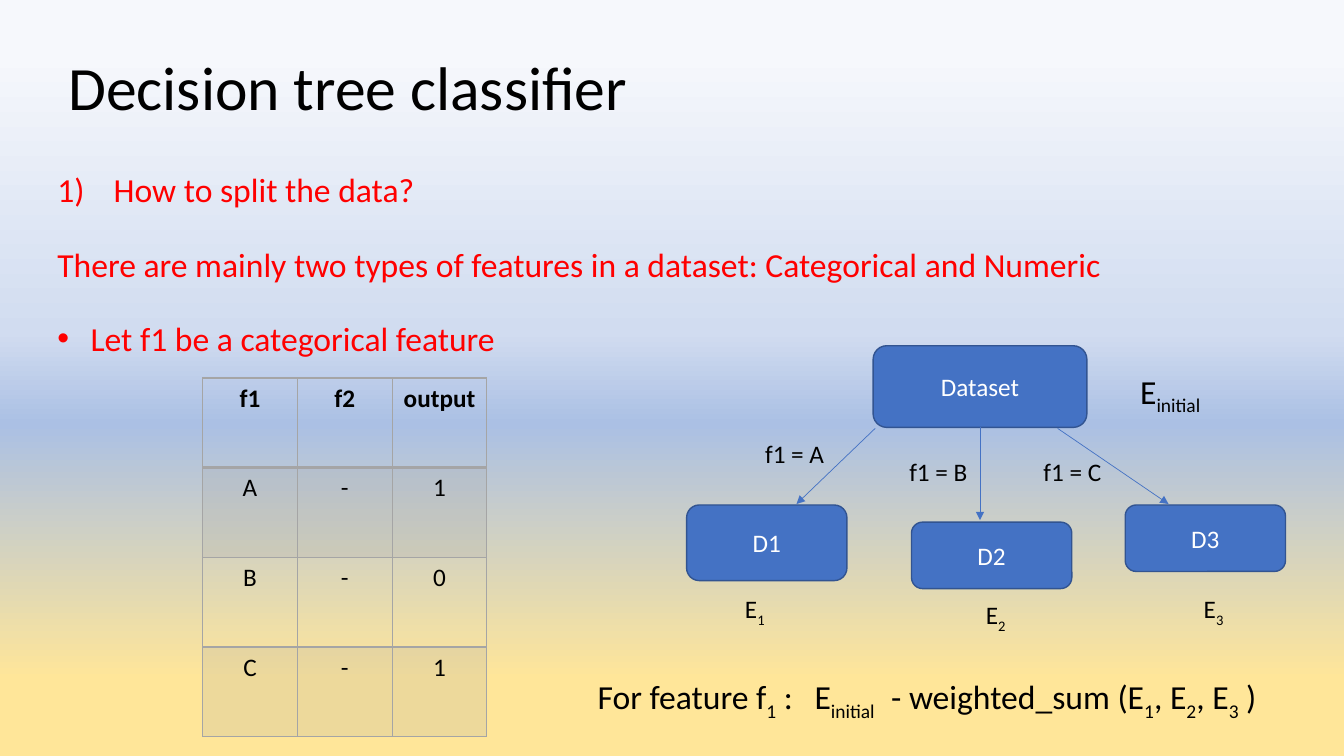
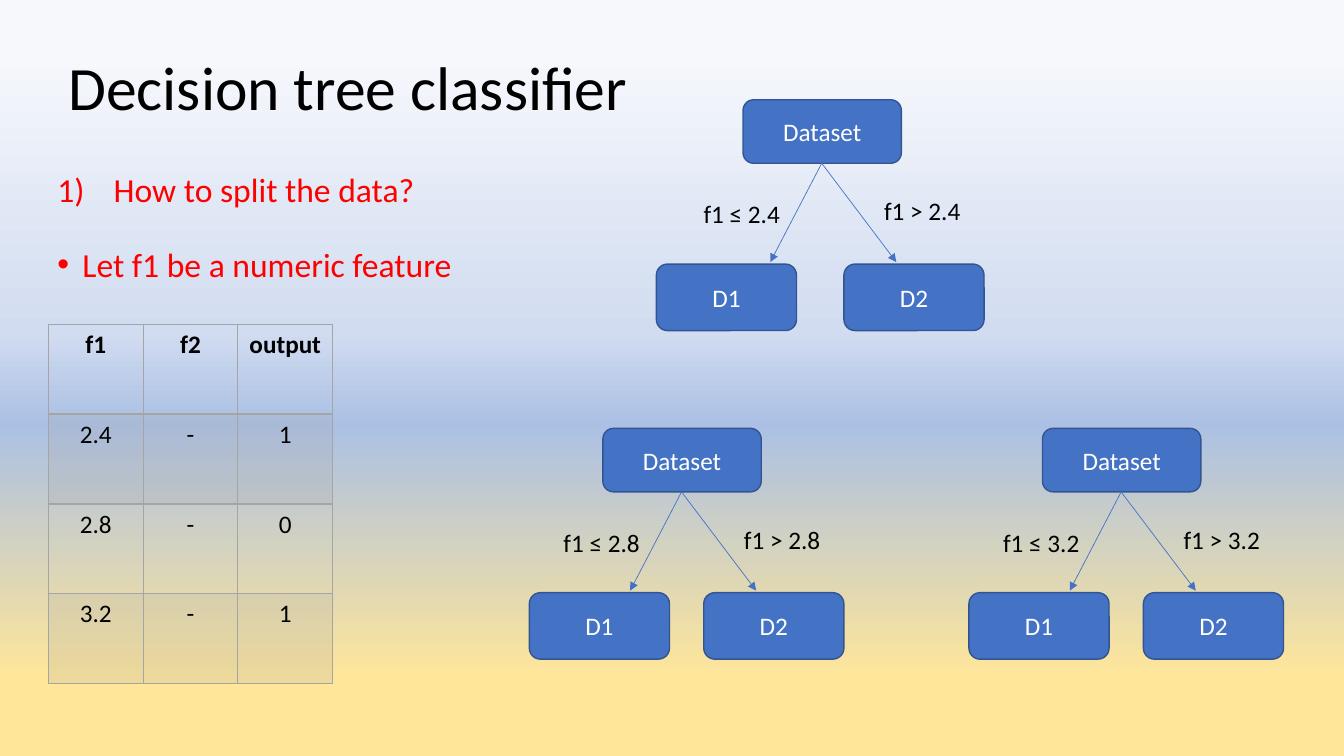
from lxml import etree
from pptx import Presentation, util as u
from pptx.dml.color import RGBColor
from pptx.enum import shapes, text
from pptx.oxml.ns import qn

FONT = "Calibri"
BLACK = RGBColor(0x00, 0x00, 0x00)
WHITE = RGBColor(0xFF, 0xFF, 0xFF)
RED = RGBColor(0xFF, 0x00, 0x00)
BLUE = RGBColor(0x44, 0x72, 0xC4)
DARK_BLUE = RGBColor(0x32, 0x54, 0x91)
GREY = RGBColor(0xA5, 0xA5, 0xA5)
BACKGROUND_STOPS = [
    (7, RGBColor(0xF6, 0xF8, 0xFC)),
    (44, RGBColor(0xD1, 0xDC, 0xF0)),
    (56, RGBColor(0xAB, 0xC0, 0xE4)),
    (90, RGBColor(0xFF, 0xE6, 0x99)),
]
TABLE_HEADER = ["f1", "f2", "output"]
CENTER = text.PP_ALIGN.CENTER


def add_element(parent, tag, **attributes):
    """Append a drawing element with the given attributes."""
    element = etree.SubElement(parent, qn(tag))
    for name, value in attributes.items():
        element.set(name, str(value))
    return element


def write(paragraph, words, size=18, color=BLACK, bold=False, align=None,
          line_spacing=None, space_before=None):
    """Fill a paragraph; parts between tildes become subscripts."""
    paragraph.alignment = align
    paragraph.line_spacing = line_spacing
    if space_before is not None:
        paragraph.space_before = u.Pt(space_before)
    for index, part in enumerate(words.split("~")):
        if not part:
            continue
        run = paragraph.add_run()
        run.text = part
        run.font.name = FONT
        run.font.size = u.Pt(size)
        run.font.bold = bold
        run.font.color.rgb = color
        if index % 2:
            run.font._element.set("baseline", "-25000")


def add_box(slide, left, top, width, height):
    """Add an empty wrapping text box and return its text frame."""
    box = slide.shapes.add_textbox(
        u.Inches(left), u.Inches(top), u.Inches(width), u.Inches(height))
    box.text_frame.word_wrap = True
    return box.text_frame


def add_label(slide, left, top, width, words, size=18, height=0.4):
    """Add a one-line label that fits its text."""
    frame = add_box(slide, left, top, width, height)
    frame.word_wrap = False
    frame.auto_size = text.MSO_AUTO_SIZE.SHAPE_TO_FIT_TEXT
    write(frame.paragraphs[0], words, size=size)


def add_node(slide, left, top, width, height, words):
    """Add a rounded tree node."""
    node = slide.shapes.add_shape(
        shapes.MSO_SHAPE.ROUNDED_RECTANGLE,
        u.Inches(left), u.Inches(top), u.Inches(width), u.Inches(height))
    node.shadow.inherit = False
    node.fill.solid()
    node.fill.fore_color.rgb = BLUE
    node.line.color.rgb = DARK_BLUE
    node.line.width = u.Pt(1)
    node.text_frame.vertical_anchor = text.MSO_ANCHOR.MIDDLE
    write(node.text_frame.paragraphs[0], words, color=WHITE, align=CENTER)


def add_arrow(slide, start_x, start_y, end_x, end_y):
    """Add a thin tree branch with an arrowhead at its end."""
    arrow = slide.shapes.add_connector(
        shapes.MSO_CONNECTOR.STRAIGHT, u.Inches(start_x), u.Inches(start_y),
        u.Inches(end_x), u.Inches(end_y))
    arrow.line.color.rgb = BLUE
    arrow.line.width = u.Pt(0.5)
    properties = arrow._element.spPr
    add_element(properties.find(qn("a:ln")), "a:tailEnd", type="triangle")
    add_element(properties, "a:effectLst")


def set_background(master):
    """Give every slide the same vertical gradient."""
    master.background.fill.gradient()
    master.background.fill.gradient_angle = 270
    stops = master.element.find(".//" + qn("a:gsLst"))
    for stop in list(stops):
        stops.remove(stop)
    for position, color in BACKGROUND_STOPS:
        stop = add_element(stops, "a:gs", pos=position * 1000)
        add_element(stop, "a:srgbClr", val=color)


def add_title(slide, words):
    frame = add_box(slide, 0.58, 0.17, 11.5, 1.45)
    frame.vertical_anchor = text.MSO_ANCHOR.MIDDLE
    write(frame.paragraphs[0], words, size=44, line_spacing=0.9)


def add_body(slide, items):
    """Write (marker, indent, words) items; a marker may be None."""
    frame = add_box(slide, 0.47, 1.43, 11.5, 5.42)
    for index, (marker, indent, words) in enumerate(items):
        paragraph = frame.add_paragraph() if index else frame.paragraphs[0]
        properties = paragraph._p.get_or_add_pPr()
        properties.set("marL", str(u.Inches(indent)))
        properties.set("indent", str(-u.Inches(indent)))
        if marker == "number":
            add_element(properties, "a:buFont", typeface="+mj-lt")
            add_element(properties, "a:buAutoNum", type="arabicParenR")
        elif marker:
            add_element(properties, "a:buFont", typeface="Arial")
            add_element(properties, "a:buChar", char=marker)
        write(paragraph, words, size=24, color=RED, line_spacing=1.5,
              space_before=10 if index else None)


def style_cell(cell, header, shaded):
    """Draw grey borders and, on shaded rows, a translucent fill."""
    properties = cell._tc.get_or_add_tcPr()
    for side in "LRTB":
        width = 2 if header and side == "B" else 1
        line = add_element(properties, "a:ln" + side, w=u.Pt(width))
        add_element(add_element(line, "a:solidFill"), "a:srgbClr", val=GREY)
    if shaded:
        cell.fill.solid()
        cell.fill.fore_color.rgb = GREY
        color = properties.find(qn("a:solidFill")).find(qn("a:srgbClr"))
        add_element(color, "a:alpha", val=20000)
    else:
        cell.fill.background()


def add_data_table(slide, left, top, rows):
    rows = [TABLE_HEADER] + rows
    column_width, row_height = 0.94, 0.89
    table = slide.shapes.add_table(
        len(rows), len(TABLE_HEADER), u.Inches(left), u.Inches(top),
        u.Inches(column_width * len(TABLE_HEADER)),
        u.Inches(row_height * len(rows))).table
    table.first_row = table.horz_banding = False
    for column in table.columns:
        column.width = u.Inches(column_width)
    for row_index, values in enumerate(rows):
        table.rows[row_index].height = u.Inches(row_height)
        header = row_index == 0
        for column_index, value in enumerate(values):
            cell = table.cell(row_index, column_index)
            write(cell.text_frame.paragraphs[0], value, bold=header,
                  align=CENTER)
            style_cell(cell, header, shaded=row_index % 2 == 1)


def add_category_tree(slide, left, top):
    """Three-way split, with the entropy of each part."""
    add_node(slide, left + 1.85, top, 2.12, 0.81, "Dataset")
    add_label(slide, left + 4.4, top + 0.2, 0.87, "E~initial~", size=24,
              height=0.5)
    # Branches: start x, start y, end x, end y
    for start_x, start_y, end_x, end_y in [
            (1.87, 0.82, 1.09, 1.57),
            (2.91, 0.81, 2.91, 1.73),
            (3.68, 0.82, 4.78, 1.57)]:
        add_arrow(slide, left + start_x, top + start_y,
                  left + end_x, top + end_y)
    # Branch labels
    for category, x, y in [("A", 0.68, 0.87), ("B", 2.11, 1.05),
                           ("C", 3.44, 1.05)]:
        add_label(slide, left + x, top + y, 0.79, f"f1 = {category}")
    # Leaves: x, y, height, then entropy x and y
    leaves = [(0, 1.58, 0.75, 0.48, 2.41),
              (2.23, 1.75, 0.66, 2.87, 2.47),
              (4.35, 1.58, 0.66, 5.03, 2.41)]
    for number, (x, y, height, label_x, label_y) in enumerate(leaves, 1):
        add_node(slide, left + x, top + y, 1.59, height, f"D{number}")
        add_label(slide, left + label_x, top + label_y, 0.41, f"E~{number}~")


def add_threshold_tree(slide, left, top, threshold, first_leaf=-0.73):
    """Two-way split; left and top place the root node."""
    add_node(slide, left, top, 1.57, 0.63, "Dataset")
    for end_x in (0.27, 1.52):
        add_arrow(slide, left + 0.78, top + 0.63, left + end_x, top + 1.61)
    add_label(slide, left - 0.49, top + 0.93, 0.97, f"f1 ≤ {threshold}")
    add_label(slide, left + 1.3, top + 0.9, 0.97, f"f1 > {threshold}")
    for words, x in (("D1", first_leaf), ("D2", 1.0)):
        add_node(slide, left + x, top + 1.63, 1.39, 0.66, words)


def add_gain_formula(slide, left, top):
    paragraph = add_box(slide, left, top, 6.92, 0.5).paragraphs[0]
    tabs = add_element(paragraph._p.get_or_add_pPr(), "a:tabLst")
    for position in (2.15, 2.91):
        add_element(tabs, "a:tab", pos=u.Inches(position), algn="l")
    write(paragraph, "For feature f~1~ :\tE~initial~\t- weighted_sum "
                     "(E~1~, E~2~, E~3~ )", size=24)


def add_slide(presentation, items):
    """Start a slide with the shared title and the opening question."""
    slide = presentation.slides.add_slide(presentation.slide_layouts[6])
    add_title(slide, "Decision tree classifier")
    add_body(slide, [("number", 0.56, "How to split the data?")] + items)
    return slide


def build_categorical_slide(presentation):
    slide = add_slide(presentation, [
        (None, 0, "There are mainly two types of features in a dataset: "
                  "Categorical and Numeric"),
        ("•", 0.33, "Let f1 be a categorical feature")])
    add_data_table(slide, 2.01, 3.75,
                   [["A", "-", "1"], ["B", "-", "0"], ["C", "-", "1"]])
    add_category_tree(slide, 6.81, 3.43)
    add_gain_formula(slide, 5.83, 6.66)


def build_numeric_slide(presentation):
    slide = add_slide(presentation, [
        ("•", 0.25, "Let f1 be a numeric feature")])
    add_data_table(slide, 0.48, 3.22,
                   [["2.4", "-", "1"], ["2.8", "-", "0"], ["3.2", "-", "1"]])
    add_threshold_tree(slide, 7.37, 0.99, "2.4", first_leaf=-0.86)
    add_threshold_tree(slide, 5.98, 4.25, "2.8")
    add_threshold_tree(slide, 10.34, 4.25, "3.2")


def main():
    presentation = Presentation()
    presentation.slide_width = u.Inches(13.33)
    presentation.slide_height = u.Inches(7.5)
    set_background(presentation.slide_master)
    build_categorical_slide(presentation)
    build_numeric_slide(presentation)
    presentation.save("out.pptx")


if __name__ == "__main__":
    main()
